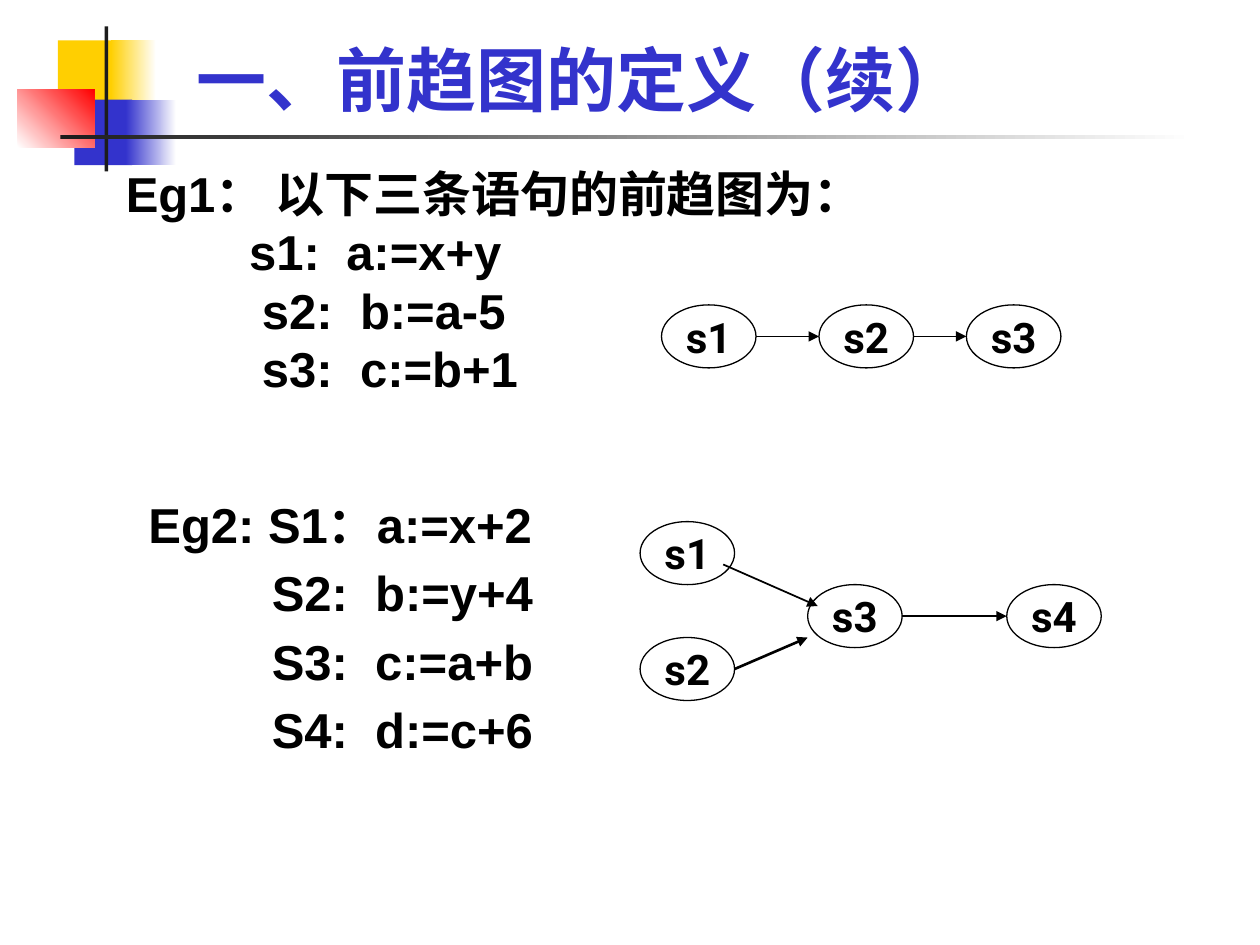
from lxml import etree
from pptx import Presentation
from pptx.dml.color import RGBColor
from pptx.enum.shapes import MSO_CONNECTOR, MSO_SHAPE
from pptx.enum.text import MSO_ANCHOR, PP_ALIGN
from pptx.oxml.ns import qn
from pptx.util import Inches, Pt

RECT, OVAL = MSO_SHAPE.RECTANGLE, MSO_SHAPE.OVAL
STRAIGHT = MSO_CONNECTOR.STRAIGHT
TOP, MIDDLE = MSO_ANCHOR.TOP, MSO_ANCHOR.MIDDLE
LEFT, CENTER = PP_ALIGN.LEFT, PP_ALIGN.CENTER

BLACK = RGBColor(0x00, 0x00, 0x00)
WHITE = RGBColor(0xFF, 0xFF, 0xFF)
BLUE = RGBColor(0x33, 0x33, 0xCC)
GOLD = RGBColor(0xFF, 0xCF, 0x01)
RED = RGBColor(0xFF, 0x00, 0x00)
DARK = RGBColor(0x1C, 0x1C, 0x1C)

NODE_W, NODE_H = 0.75, 0.5


def style(par, size, color, face):
    font = par.font
    font.size, font.bold, font.name = Pt(size), True, face
    font.color.rgb = color


def add_block(slide, x, y, w, h, color, end=None, angle=0):
    """Plain block, or one that fades from color to end."""
    block = slide.shapes.add_shape(RECT, Inches(x), Inches(y), Inches(w), Inches(h))
    block.shadow.inherit = False
    block.line.fill.background()
    if end is None:
        block.fill.solid()
        block.fill.fore_color.rgb = color
        return
    block.fill.gradient()
    block.fill.gradient_angle = angle
    for stop, shade in zip(block.fill.gradient_stops, (color, end)):
        stop.color.rgb = shade


def add_decor(slide, x, y):
    """Coloured squares and the crossed rules."""
    add_block(slide, x + 0.32, y + 0.11, 0.48, 0.52, GOLD)
    add_block(slide, x + 0.74, y + 0.11, 0.36, 0.52, GOLD, WHITE)
    add_block(slide, x + 0.45, y + 0.58, 0.46, 0.52, BLUE)
    add_block(slide, x + 0.86, y + 0.58, 0.4, 0.52, BLUE, WHITE)
    add_block(slide, x, y + 0.5, 0.61, 0.46, WHITE, RED, 45)
    add_block(slide, x + 0.69, y, 0.03, 1.15, DARK)
    add_block(slide, x + 0.34, y + 0.86, 9, 0.03, DARK, WHITE)


def set_title(slide, x, y, w, h):
    title = slide.shapes.title
    title.left, title.top = Inches(x), Inches(y)
    title.width, title.height = Inches(w), Inches(h)
    frame = title.text_frame
    frame.text = "一、前趋图的定义（续）"
    frame.vertical_anchor = MIDDLE
    par = frame.paragraphs[0]
    par.alignment = LEFT
    style(par, 40, BLUE, "Roboto")


def add_code(slide, x, y, w, h, pitch, lines):
    """Lines of (text, label indent, code indent), at a fixed pitch."""
    box = slide.shapes.add_textbox(Inches(x), Inches(y), Inches(w), Inches(h))
    frame = box.text_frame
    frame.word_wrap = True
    frame.vertical_anchor = TOP
    for i, (text, label, code) in enumerate(lines):
        par = frame.paragraphs[0] if i == 0 else frame.add_paragraph()
        par.text = text
        par.line_spacing = Pt(pitch)
        props = par._p.get_or_add_pPr()
        props.set("marL", str(Inches(code)))
        props.set("indent", str(Inches(label - code)))
        style(par, 28, BLACK, "Arial")


def add_node(slide, x, y, name):
    node = slide.shapes.add_shape(OVAL, Inches(x), Inches(y), Inches(NODE_W), Inches(NODE_H))
    node.shadow.inherit = False
    node.fill.solid()
    node.fill.fore_color.rgb = WHITE
    node.line.color.rgb = BLACK
    node.line.width = Pt(0.75)
    frame = node.text_frame
    frame.text = name
    frame.word_wrap = False
    frame.vertical_anchor = MIDDLE
    par = frame.paragraphs[0]
    par.alignment = CENTER
    style(par, 24, BLACK, "Roboto")


def add_arrow(slide, x1, y1, x2, y2, width):
    arrow = slide.shapes.add_connector(STRAIGHT, Inches(x1), Inches(y1), Inches(x2), Inches(y2))
    arrow.line.color.rgb = BLACK
    arrow.line.width = Pt(width)
    etree.SubElement(arrow.line._get_or_add_ln(), qn("a:tailEnd"), type="triangle")
    etree.SubElement(arrow._element.spPr, qn("a:effectLst"))


def add_chain(slide, x, y):
    """s1 -> s2 -> s3 in a row."""
    spots = (x, x + 1.25, x + 2.42)
    mid = y + NODE_H / 2
    for i, spot in enumerate(spots):
        add_node(slide, spot, y, f"s{i + 1}")
    for start, end in zip(spots, spots[1:]):
        add_arrow(slide, start + NODE_W, mid, end, mid, 1)


def add_merge(slide, x, y):
    """s1 and s2 lead to s3, which leads to s4."""
    spots = ((0, 0), (0, 0.92), (1.33, 0.5), (2.91, 0.5))
    for i, (dx, dy) in enumerate(spots):
        add_node(slide, x + dx, y + dy, f"s{i + 1}")
    add_arrow(slide, x + 0.66, y + 0.34, x + 1.41, y + 0.67, 1)
    add_arrow(slide, x + 0.75, y + 1.17, x + 1.33, y + 0.92, 1.5)
    add_arrow(slide, x + 2.08, y + 0.75, x + 2.91, y + 0.75, 1.5)


def main():
    deck = Presentation()
    deck.slide_width, deck.slide_height = Inches(10), Inches(7.5)
    slide = deck.slides.add_slide(deck.slide_layouts[5])
    add_decor(slide, 0.14, 0.21)
    set_title(slide, 1.46, 0.24, 7.72, 0.77)

    # First example
    add_code(slide, 0.9, 1.25, 8.7, 2.13, 33.4, (
        ("Eg1： 以下三条语句的前趋图为：", 0, 0),
        ("s1:\ta:=x+y", 0.98, 1.75),
        ("s2:\tb:=a-5", 1.08, 1.86),
        ("s3:\tc:=b+1", 1.08, 1.86),
    ))
    add_chain(slide, 5.25, 2.42)

    # Second example
    add_code(slide, 1.08, 3.8, 4, 2.67, 39.1, (
        ("Eg2: S1：a:=x+2", 0, 0),
        ("S2:\tb:=y+4", 0.98, 1.8),
        ("S3:\tc:=a+b", 0.98, 1.8),
        ("S4:\td:=c+6", 0.98, 1.8),
    ))
    add_merge(slide, 5.08, 4.14)
    deck.save("out.pptx")


if __name__ == "__main__":
    main()
